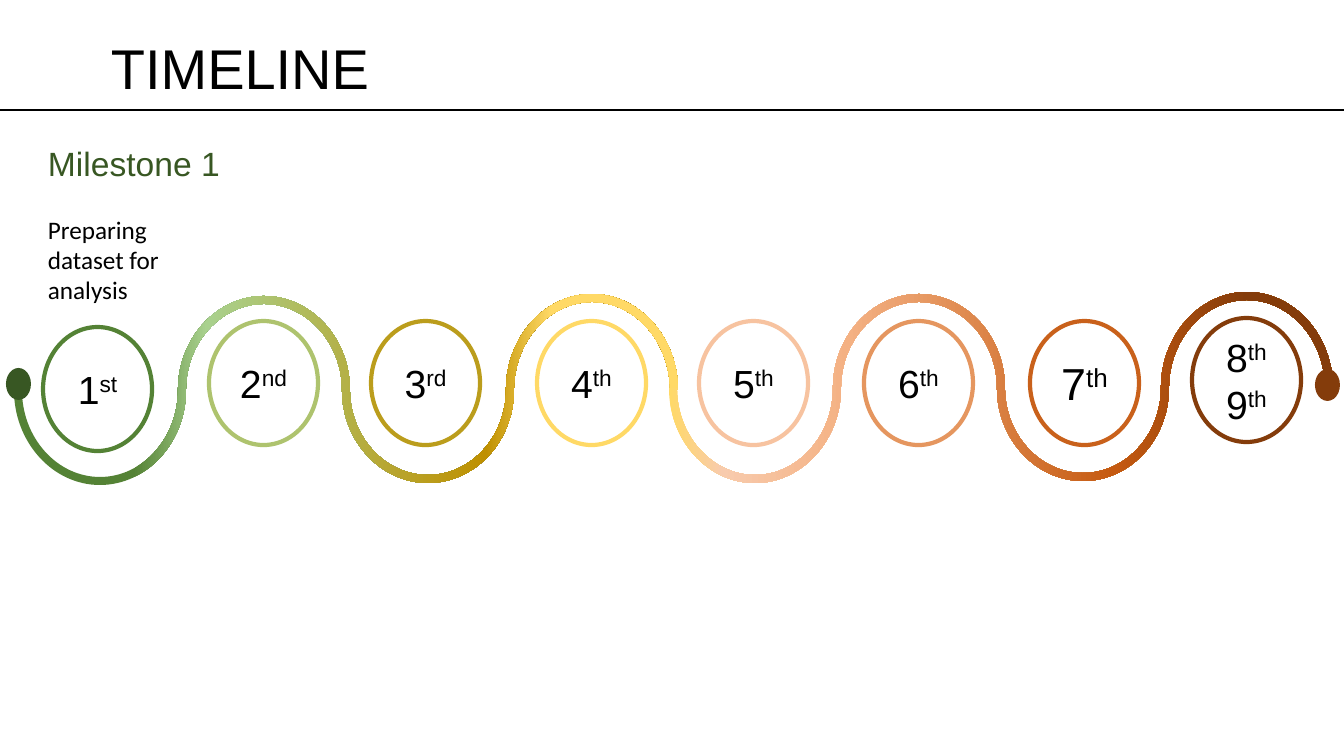
import pptx
import pptx.util
import pptx.dml.color
import pptx.enum.shapes
import pptx.enum.text
import pptx.oxml
import pptx.oxml.ns

SCALE = 914400 / 100.8
WIDE, HIGH = 1344, 756
PITCH, RISE, HALF, LOBES = 164, 90, 4, 4
BEND = 0.55
HUES = {
    "ink": "000000", "paper": "FFFFFF", "pine": "385723", "green": "548235",
    "mint": "A9D18E", "olive": "AEC36E", "mustard": "BB9D1C", "gold": "BF9000",
    "yellow": "FFD966", "blush": "F8CBAD", "peach": "F7C3A0", "salmon": "F4B183",
    "orange": "E5965F", "copper": "C9611B", "rust": "C55A11", "brown": "843C0B",
}
WEEKS = [
    (43, 327, "green", 28, [("1", "st")]),
    (209, 321, "olive", 28, [("2", "nd")]),
    (371, 321, "mustard", 28, [("3", "rd")]),
    (537, 321, "yellow", 28, [("4", "th")]),
    (699, 321, "peach", 28, [("5", "th")]),
    (864, 321, "orange", 28, [("6", "th")]),
    (1030, 321, "copper", 32, [("7", "th")]),
    (1192, 318, "brown", 28, [("8", "th"), ("9", "th")]),
]
LEFT = [(18, "green"), (29, "mint"), (71, "gold"), (81, "yellow")]
RIGHT = [(0, "yellow"), (8, "blush"), (27, "salmon"), (67, "rust"), (87, "brown")]


def px(num):
    return pptx.util.Emu(round(num * SCALE))


def tint(name):
    return pptx.dml.color.RGBColor.from_string(HUES[name])


def node(text):
    return pptx.oxml.parse_xml(text % pptx.oxml.ns.nsdecls("a"))


def style(para, size, face="Arial", hue="ink"):
    para.font.size = pptx.util.Pt(size)
    para.font.name = face
    para.font.color.rgb = tint(hue)


def text_box(slide, box):
    frame = slide.shapes.add_textbox(*map(px, box)).text_frame
    frame.word_wrap = True
    return frame


def oval(slide, box, fill):
    shape = slide.shapes.add_shape(
        pptx.enum.shapes.MSO_SHAPE.OVAL, *map(px, box))
    shape.shadow.inherit = False
    shape.fill.solid()
    shape.fill.fore_color.rgb = tint(fill)
    shape.line.fill.background()
    return shape


def header(slide, left, top, width, height):
    frame = text_box(slide, (left, top, width, height))
    frame.margin_left = px(111)
    para = frame.paragraphs[0]
    para.text = "TIMELINE"
    style(para, 40)
    base = top + height + 3
    rule = slide.shapes.add_connector(
        pptx.enum.shapes.MSO_CONNECTOR.STRAIGHT,
        px(left), px(base), px(left + width + 9), px(base))
    rule.line.color.rgb = tint("ink")
    rule.line.width = pptx.util.Pt(1)
    rule.element.spPr.append(node("<a:effectLst %s/>"))


def edge(left, mid, side):
    dots = [(px(left - side * HALF), px(mid - 1))]
    for lobe in range(LOBES):
        turn = 1 if lobe % 2 == 0 else -1
        grow = side * turn * HALF
        start = left + PITCH * lobe
        dots.append((px(start + PITCH / 2), px(mid - lobe + turn * (RISE + grow))))
        dots.append((px(start + PITCH + grow), px(mid - 1)))
    return dots


def curve(shape, dots):
    legs = list(shape.element.iter(pptx.oxml.ns.qn("a:lnTo")))
    turn = len(dots) // 2
    for spot, leg in enumerate(legs[:len(dots) - 1], 1):
        if spot == turn:
            continue
        (x, y), (u, v) = [
            (a - shape.left, b - shape.top) for a, b in dots[spot - 1:spot + 1]]
        if (spot % 2 == 1) == (spot < turn):
            pulls = [(x, y + BEND * (v - y)), (u - BEND * (u - x), v)]
        else:
            pulls = [(x + BEND * (u - x), y), (u, v - BEND * (v - y))]
        marks = "".join('<a:pt x="%d" y="%d"/>' % pair
                        for pair in pulls + [(u, v)])
        leg.getparent().replace(
            leg, node("<a:cubicBezTo %s>" + marks + "</a:cubicBezTo>"))


def ribbon(slide, left, mid, stops):
    dots = edge(left, mid, 1) + edge(left, mid, -1)[::-1]
    pen = slide.shapes.build_freeform(*dots[0])
    pen.add_line_segments(dots[1:], close=True)
    shape = pen.convert_to_shape()
    curve(shape, dots)
    shape.shadow.inherit = False
    shape.line.fill.background()
    shape.fill.gradient()
    shape.fill.gradient_angle = 0
    ramp = next(shape.element.iter(pptx.oxml.ns.qn("a:gsLst")))
    for old in list(ramp):
        ramp.remove(old)
    for spot, hue in stops:
        ramp.append(node('<a:gs %s pos="{}"><a:srgbClr val="{}"/></a:gs>'.format(
            spot * 1000, HUES[hue])))


def week(slide, left, top, hue, size, days):
    shape = oval(slide, (left, top, 109, 124), "paper")
    shape.line.color.rgb = tint(hue)
    shape.line.width = pptx.util.Pt(3)
    frame = shape.text_frame
    frame.vertical_anchor = pptx.enum.text.MSO_ANCHOR.MIDDLE
    for row, (day, mark) in enumerate(days):
        para = frame.add_paragraph() if row else frame.paragraphs[0]
        para.alignment = pptx.enum.text.PP_ALIGN.CENTER
        style(para, size)
        para.add_run().text = day
        run = para.add_run()
        run.text = mark
        run._r.get_or_add_rPr().set("baseline", "30000")


def track(slide, left, mid):
    ribbon(slide, left, mid, LEFT)
    ribbon(slide, left + 655, mid - 2, RIGHT)
    oval(slide, (left - 12, mid - 23, 25, 32), "pine")
    oval(slide, (left + 1297, mid - 22, 25, 32), "brown")
    for item in WEEKS:
        week(slide, *item)


def note(slide, left, top, width, height):
    frame = text_box(slide, (left, top, width, height))
    head = frame.paragraphs[0]
    head.text = "Milestone 1"
    style(head, 24, hue="pine")
    body = frame.add_paragraph()
    body.text = "Preparing dataset for analysis"
    body.space_before = pptx.util.Pt(22)
    style(body, 18, "Calibri")


def main():
    deck = pptx.Presentation()
    deck.slide_width, deck.slide_height = px(WIDE), px(HIGH)
    slide = deck.slides.add_slide(deck.slide_layouts[6])
    header(slide, 0, 29, WIDE, 78)
    track(slide, 18, 391)
    note(slide, 38, 138, 194, 204)
    deck.save("out.pptx")


if __name__ == "__main__":
    main()
